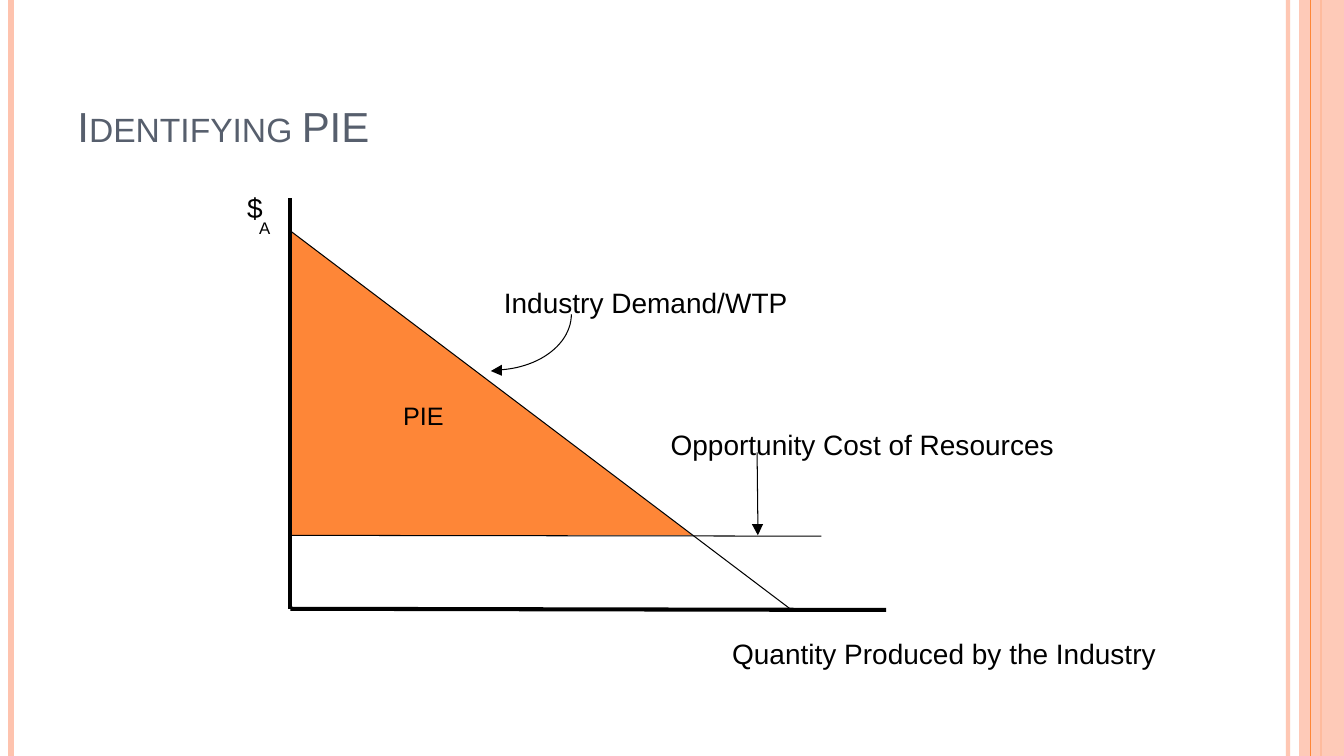
from lxml import etree
from pptx import Presentation
from pptx import util as u
from pptx.dml import color
from pptx.enum import shapes, text
from pptx.oxml import ns

LEFT, TOP, COST, CROSS, BASE = 7.32, 5.82, 13.49, 17.45, 15.34
INK, PEACH, FLAME = "000000", "FEC3AE", "FE8637"


def paint(fill, tone, alpha=100):
    """Set a solid fill from a hex colour, with its opacity in percent."""
    fill.solid()
    fill.fore_color.rgb = color.RGBColor.from_string(tone)
    if alpha < 100:
        tag = fill.fore_color._xFill[0]
        etree.SubElement(tag, ns.qn("a:alpha"), val=str(alpha * 1000))


def line(slide, start, end, tone=INK, width=0.75, alpha=100):
    """Draw a straight line between two points in centimetres."""
    ends = [u.Cm(n) for n in (*start, *end)]
    rule = slide.shapes.add_connector(shapes.MSO_CONNECTOR.STRAIGHT, *ends)
    paint(rule.line.fill, tone, alpha)
    rule.line.width = u.Pt(width)
    etree.SubElement(rule._element.spPr, ns.qn("a:effectLst"))


def band(slide, left, width, tone, alpha):
    """Draw a full-height band without an outline."""
    box = slide.shapes.add_shape(shapes.MSO_SHAPE.RECTANGLE, u.Cm(left), 0,
                                 u.Cm(width), u.Cm(19.05))
    box.shadow.inherit = False
    paint(box.fill, tone, alpha)
    box.line.fill.background()


def outline(slide, points, tone=None):
    """Draw a filled polygon, or an open thin path when no tone is given."""
    first, *rest = [(u.Cm(x), u.Cm(y)) for x, y in points]
    path = slide.shapes.build_freeform(*first)
    path.add_line_segments(rest, close=tone is not None)
    form = path.convert_to_shape()
    form.shadow.inherit = False
    if tone:
        paint(form.fill, tone)
        form.line.fill.background()
    else:
        form.fill.background()
        paint(form.line.fill, INK)
        form.line.width = u.Pt(0.75)


def curve(points, steps=24):
    """Return points along a cubic curve."""
    def blend(t, axis):
        a, b, c, d = (p[axis] for p in points)
        s = 1 - t
        return s**3 * a + 3 * s * s * t * b + 3 * s * t * t * c + t**3 * d
    return [(blend(n / steps, 0), blend(n / steps, 1))
            for n in range(steps + 1)]


def label(slide, words, left, top, width, height=0.86, size=20, tone=INK,
          anchor=text.MSO_ANCHOR.TOP, small=False):
    """Add a text box without margins."""
    box = slide.shapes.add_textbox(*map(u.Cm, (left, top, width, height)))
    frame = box.text_frame
    frame.word_wrap = True
    frame.vertical_anchor = anchor
    frame.margin_left = frame.margin_right = 0
    frame.margin_top = frame.margin_bottom = 0
    run = frame.paragraphs[0].add_run()
    run.text = words
    run.font.name = "Arial"
    run.font.size = u.Pt(size)
    run.font.color.rgb = color.RGBColor.from_string(tone)
    if small:
        run._r.get_or_add_rPr().set("cap", "small")


def frame(slide):
    """Draw the stripes along both edges of the slide."""
    def stripe(x, *style):
        line(slide, (x, 0), (x, 19.05), *style)
    stripe(32.46, PEACH, 3, 93)
    stripe(0.28, PEACH, 4.5)
    stripe(33.3, FLAME, 1.5)
    band(slide, 32.74, 1.13, PEACH, 87)
    stripe(33.02, FLAME, 0.75)


def graph(slide):
    """Draw the axes, the demand and cost lines and the area between them."""
    outline(slide, [(LEFT, TOP), (LEFT, COST), (CROSS, COST)], FLAME)
    line(slide, (LEFT, 5), (LEFT, BASE), width=2.9)
    line(slide, (LEFT, BASE), (22.33, 15.37), width=2.9)
    line(slide, (LEFT, COST), (20.7, 13.51))
    line(slide, (LEFT, TOP), (19.91, BASE))


def arrows(slide):
    """Draw the arrows from the labels to their lines."""
    bend = [(14.4, 7.92), (14.4, 8.64), (13.64, 9.25), (12.62, 9.32)]
    outline(slide, curve(bend))
    outline(slide, [(12.65, 9.19), (12.37, 9.35), (12.65, 9.47)], INK)
    line(slide, (19.08, 11.4), (19.1, 13.26))
    outline(slide, [(18.95, 13.21), (19.1, 13.49), (19.23, 13.21)], INK)


def main():
    """Build and save the slide."""
    deck = Presentation()
    deck.slide_width, deck.slide_height = u.Cm(33.87), u.Cm(19.05)
    slide = deck.slides.add_slide(deck.slide_layouts[6])
    frame(slide)
    label(slide, "Identifying PIE", 1.95, 0.89, 27.15, 2.92, size=30,
          tone="575F6D", anchor=text.MSO_ANCHOR.BOTTOM, small=True)
    graph(slide)
    label(slide, "Industry Demand/WTP", 12.7, 7.2, 7.6)
    label(slide, "Opportunity Cost of Resources", 16.9, 10.78, 10.2)
    arrows(slide)
    label(slide, "Quantity Produced by the Industry", 18.45, 16.04, 11.2)
    label(slide, "$", 6.23, 4.8, 0.6)
    label(slide, "A", 6.53, 5.49, 0.5, 0.51, size=12)
    label(slide, "PIE", 10.16, 10.1, 1.3, 0.76, size=18)
    deck.save("out.pptx")


if __name__ == "__main__":
    main()
